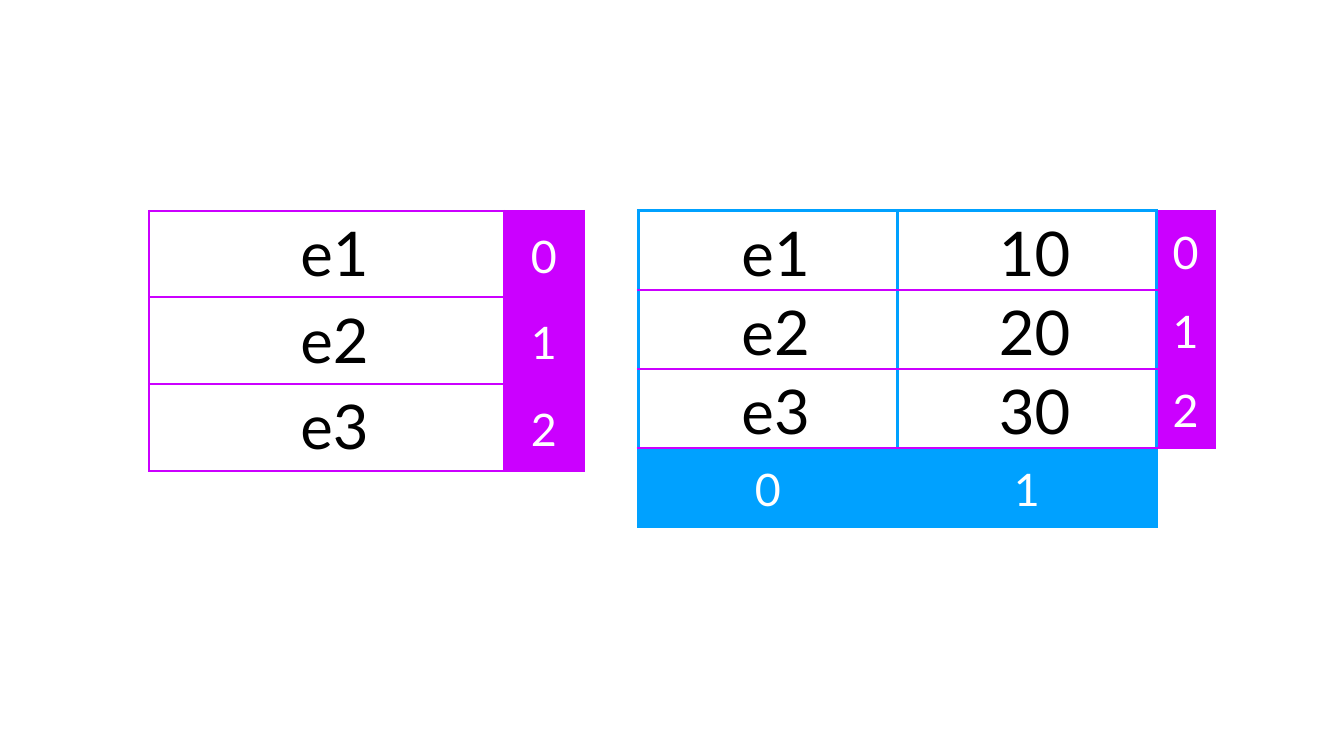
from lxml import etree
from pptx import Presentation
from pptx.dml.color import RGBColor
from pptx.enum.text import MSO_ANCHOR, PP_ALIGN
from pptx.oxml.ns import qn
from pptx.util import Inches, Pt

PURPLE = RGBColor(0xCB, 0x00, 0xFF)
BLUE = RGBColor(0x00, 0xA1, 0xFF)
BLACK = RGBColor(0x00, 0x00, 0x00)
WHITE = RGBColor(0xFF, 0xFF, 0xFF)
TOP, MIDDLE = MSO_ANCHOR.TOP, MSO_ANCHOR.MIDDLE
CENTER = PP_ALIGN.CENTER

THIN = (PURPLE, 1.5)
THICK = (BLUE, 2.25)
SIDES = ("lnL", "lnR", "lnT", "lnB")
MARGINS = {"margin_left": Inches(0.07), "margin_right": Inches(0.07),
           "margin_top": 0, "margin_bottom": 0}
TABLE_TOP = 2.09


def add_grid(page, left, widths, row_height, rows):
    frame = page.shapes.add_table(len(rows), len(widths), Inches(left), Inches(TABLE_TOP),
                                  Inches(sum(widths)), Inches(row_height * len(rows)))
    table = frame.table
    table.first_row = table.horz_banding = False
    for column, width in zip(table.columns, widths):
        column.width = Inches(width)
    for row in table.rows:
        row.height = Inches(row_height)
    return table


def style_cell(cell, text, fill, borders):
    for name, value in MARGINS.items():
        setattr(cell, name, value)
    cell.vertical_anchor = MIDDLE if fill else TOP
    if fill:
        cell.fill.solid()
        cell.fill.fore_color.rgb = fill
    else:
        cell.fill.background()

    para = cell.text_frame.paragraphs[0]
    para.alignment = CENTER
    para.line_spacing = 1.07
    if text:
        span = para.add_run()
        # Data values carry a leading no-break space
        span.text = text if fill else " " + text
        span.font.name = "Lato"
        span.font.size = Pt(32 if fill else 44)
        span.font.color.rgb = WHITE if fill else BLACK

    # Border lines come before the fill in the cell properties
    properties = cell._tc.get_or_add_tcPr()
    for position, (side, border) in enumerate(zip(SIDES, borders)):
        line = etree.Element(qn("a:" + side))
        if border:
            color, width = border
            line.set("w", str(Pt(width)))
            solid = etree.SubElement(line, qn("a:solidFill"))
            etree.SubElement(solid, qn("a:srgbClr")).set("val", str(color))
        else:
            etree.SubElement(line, qn("a:noFill"))
        properties.insert(position, line)


deck = Presentation()
deck.slide_width, deck.slide_height = Inches(13.33), Inches(7.5)
page = deck.slides.add_slide(deck.slide_layouts[6])

# One-dimensional array with its index column
array_rows = [("e1", "0"), ("e2", "1"), ("e3", "2")]
array = add_grid(page, 1.48, (3.52, 0.79), 0.86, array_rows)
for r, values in enumerate(array_rows):
    for c, text in enumerate(values):
        style_cell(array.cell(r, c), text, PURPLE if c == 1 else None, [THIN] * 4)

# Two-dimensional array with row and column indices
matrix_rows = [("e1", "10", "0"), ("e2", "20", "1"), ("e3", "30", "2"), ("0", "1", "")]
matrix = add_grid(page, 6.33, (2.57, 2.57, 0.58), 0.78, matrix_rows)
for r, values in enumerate(matrix_rows):
    for c, text in enumerate(values):
        is_footer, is_index = r == 3, c == 2
        if is_footer and is_index:
            fill, borders = None, (THICK, None, THIN, None)
        elif is_index:
            fill, borders = PURPLE, (THICK, THIN, THIN, THIN)
        else:
            fill = BLUE if is_footer else None
            borders = (THICK, THICK, THICK if r == 0 else THIN, THICK if is_footer else THIN)
        style_cell(matrix.cell(r, c), text, fill, borders)

deck.save("out.pptx")
